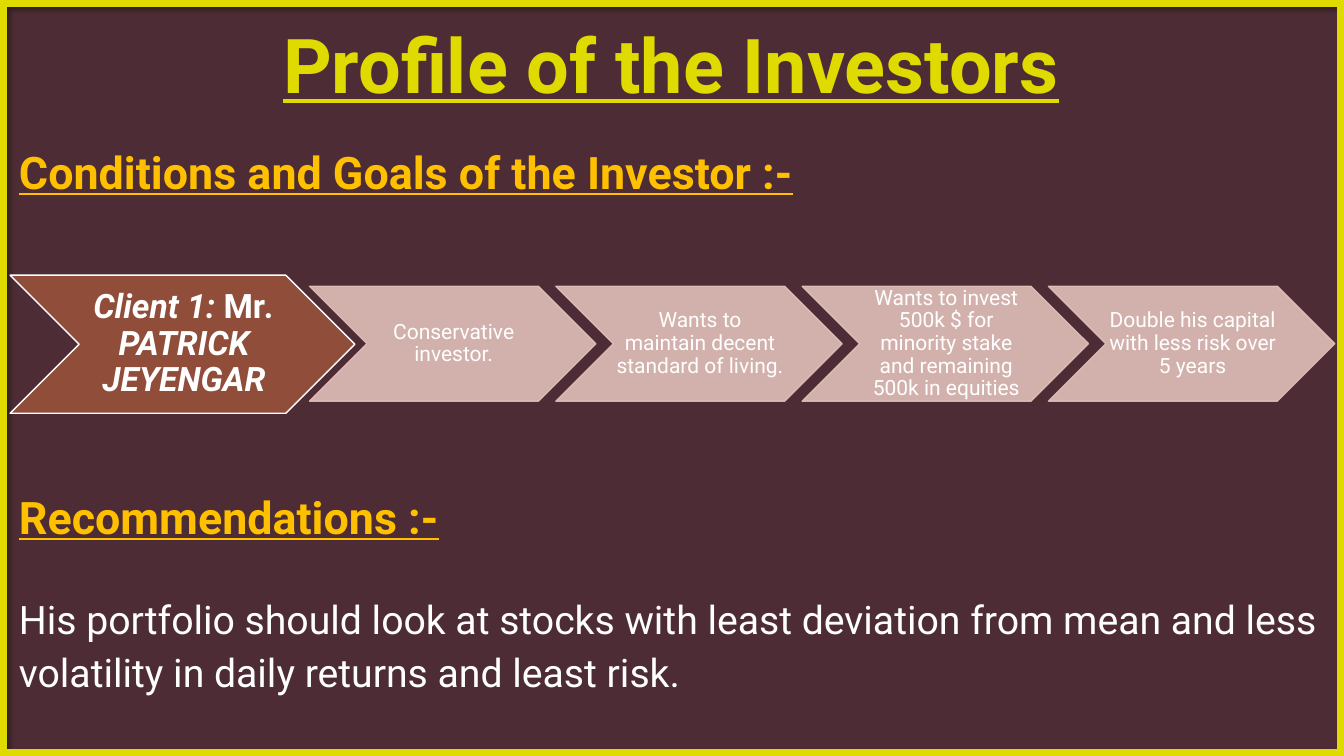
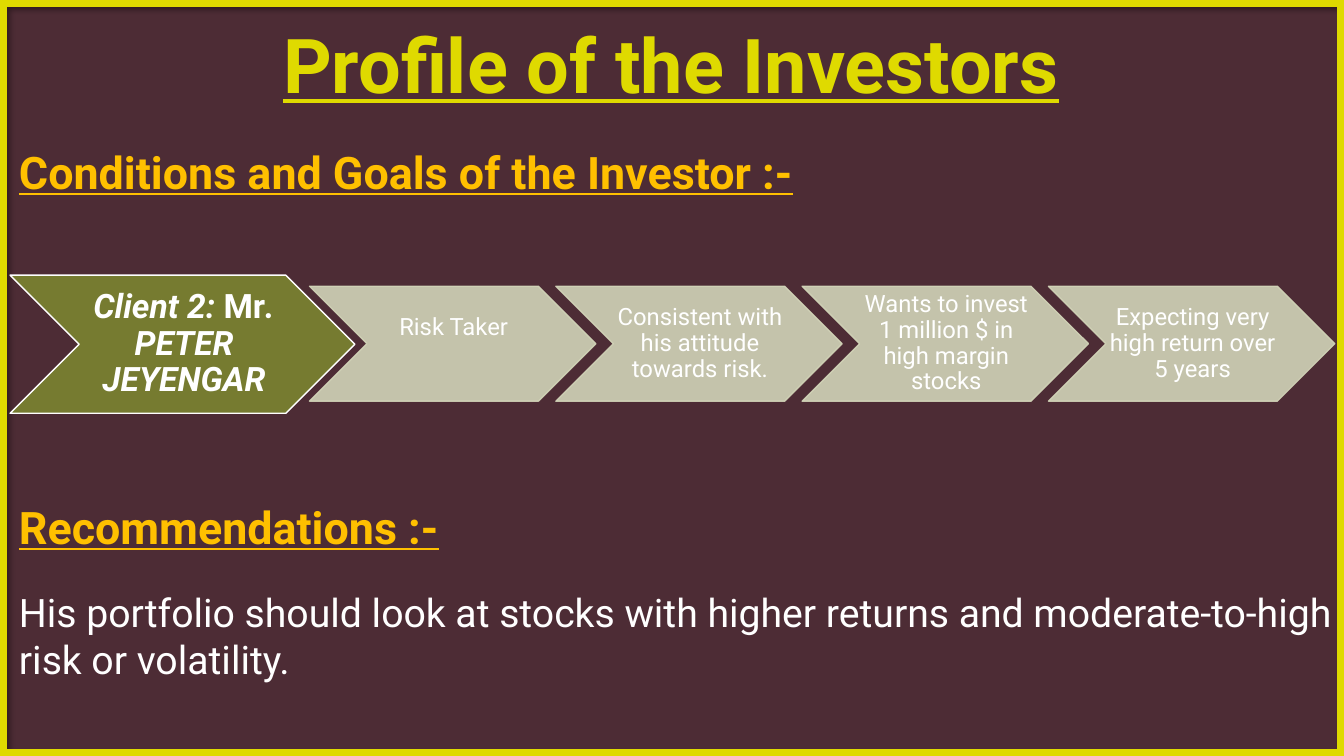
import lxml.etree
import pptx
import pptx.dml.color
import pptx.enum.shapes
import pptx.enum.text
import pptx.oxml.ns
import pptx.util

Inches = pptx.util.Inches
Pt = pptx.util.Pt
qn = pptx.oxml.ns.qn
CENTER = pptx.enum.text.PP_ALIGN.CENTER
MIDDLE = pptx.enum.text.MSO_ANCHOR.MIDDLE
SHAPES = pptx.enum.shapes.MSO_SHAPE

FONT = "Roboto"
PLUM = "4D2C35"
LIME = "DFDA00"
AMBER = "FFC000"
WHITE = "FFFFFF"

CLIENTS = [
    {
        "label": "Client 1: ", "name": ". PATRICK JEYENGAR",
        "dark": "904D39", "pale": "E1C0BA", "goal_size": 15,
        "goals": [
            ("Conservative investor.", 0.01),
            ("Wants to maintain decent standard of living.", 0.01),
            ("Wants to invest 500k $ for minority stake and remaining 500k in equities", 0.01),
            ("Double his capital with less risk over 5 years", 0.01),
        ],
        "advice": "His portfolio should look at stocks with least deviation from mean "
                  "and less volatility in daily returns and least risk.",
        "advice_top": 4.81, "advice_height": 2.69, "advice_gap": 32, "advice_spacing": 1.14,
    },
    {
        "label": "Client 2: ", "name": ". PETER JEYENGAR",
        "dark": "767B30", "pale": "D2D4B8", "goal_size": 17,
        "goals": [
            ("Risk Taker", 0.32),
            ("Consistent with his attitude towards risk.", 0.01),
            ("Wants to invest 1 million $ in high margin stocks", 0.01),
            ("Expecting very high return over 5 years", 0.01),
        ],
        "advice": "His portfolio should look at stocks with higher returns "
                  "and moderate-to-high risk or volatility.",
        "advice_top": 4.91, "advice_height": 2.46, "advice_gap": 25, "advice_spacing": 1.0,
    },
]


def paint(fill, colour):
    fill.solid()
    fill.fore_color.rgb = pptx.dml.color.RGBColor.from_string(colour)


def write(para, text, size, colour=WHITE, bold=False, italic=False, underline=False,
          align=None, spacing=None):
    span = para.add_run()
    span.text = text
    span.font.name = FONT
    span.font.size = Pt(size)
    span.font.bold = bold
    span.font.italic = italic
    span.font.underline = underline
    paint(span.font.fill, colour)
    if align is not None:
        para.alignment = align
    if spacing is not None:
        para.line_spacing = spacing


deck = pptx.Presentation()
deck.slide_width = Inches(13.33)
deck.slide_height = Inches(7.5)
paint(deck.slide_master.background.fill, PLUM)

layout = deck.slide_layouts.get_by_name("Title Only")
heading = layout.placeholders[0]
heading.left, heading.top = Inches(0.79), Inches(0.14)
heading.width, heading.height = Inches(11.73), Inches(0.98)
heading.text_frame.margin_left = heading.text_frame.margin_right = 0
heading.text_frame.margin_top = heading.text_frame.margin_bottom = 0
heading.text_frame.vertical_anchor = MIDDLE

for client in CLIENTS:
    page = deck.slides.add_slide(layout)
    write(page.shapes.title.text_frame.paragraphs[0], "Profile of the Investors", 54,
          colour=LIME, bold=True, underline=True, align=CENTER)

    frame = page.shapes.add_shape(SHAPES.RECTANGLE, 0, 0, deck.slide_width, deck.slide_height)
    frame.fill.background()
    paint(frame.line.fill, LIME)
    frame.line.width = Pt(10)
    frame.shadow.inherit = False
    effects = frame.element.spPr.find(qn("a:effectLst"))
    shadow = lxml.etree.SubElement(effects, qn("a:outerShdw"), blurRad=str(Pt(4)),
                                   dist=str(Pt(3)), dir="2700000", rotWithShape="0")
    shade = lxml.etree.SubElement(shadow, qn("a:srgbClr"), val="000000")
    lxml.etree.SubElement(shade, qn("a:alpha"), val="40000")

    banner = page.shapes.add_shape(SHAPES.CHEVRON, Inches(0.1), Inches(2.73),
                                   Inches(3.42), Inches(1.37))
    paint(banner.fill, client["dark"])
    paint(banner.line.fill, WHITE)
    para = banner.text_frame.paragraphs[0]
    for text, italic in [(client["label"], True), ("Mr", False), (client["name"], True)]:
        write(para, text, 24, bold=True, italic=italic, align=CENTER, spacing=0.9)
    chevrons = [(banner, 0.03, 0.02, 0.02)]

    for index, (goal, bottom) in enumerate(client["goals"]):
        chevron = page.shapes.add_shape(SHAPES.CHEVRON, Inches(3.07 + 2.443 * index),
                                        Inches(2.84), Inches(2.84), Inches(1.14))
        paint(chevron.fill, client["pale"])
        paint(chevron.line.fill, client["pale"])
        for shade in chevron.element.spPr.iter(qn("a:srgbClr")):
            lxml.etree.SubElement(shade, qn("a:alpha"), val="90000")
        write(chevron.text_frame.paragraphs[0], goal, client["goal_size"],
              align=CENTER, spacing=0.9)
        chevrons.append((chevron, 0.02, 0.01, bottom))

    for chevron, left, top, bottom in chevrons:
        chevron.shadow.inherit = False
        chevron.line.width = Pt(1)
        chevron.text_frame.word_wrap = True
        chevron.text_frame.vertical_anchor = MIDDLE
        chevron.text_frame.margin_left = Inches(left)
        chevron.text_frame.margin_right = 0
        chevron.text_frame.margin_top = Inches(top)
        chevron.text_frame.margin_bottom = Inches(bottom)

    sections = [
        ("Conditions and Goals of the Investor :-", 1.39, 10.7, 0.64),
        ("Recommendations :-", client["advice_top"], 13.24, client["advice_height"]),
    ]
    for text, top, width, height in sections:
        box = page.shapes.add_textbox(Inches(0.09), Inches(top), Inches(width), Inches(height))
        box.text_frame.word_wrap = True
        write(box.text_frame.paragraphs[0], text, 32, colour=AMBER, bold=True, underline=True)

    advice = box.text_frame.add_paragraph()
    advice.space_before = Pt(client["advice_gap"])
    write(advice, client["advice"], 28, spacing=client["advice_spacing"])

deck.save("out.pptx")
